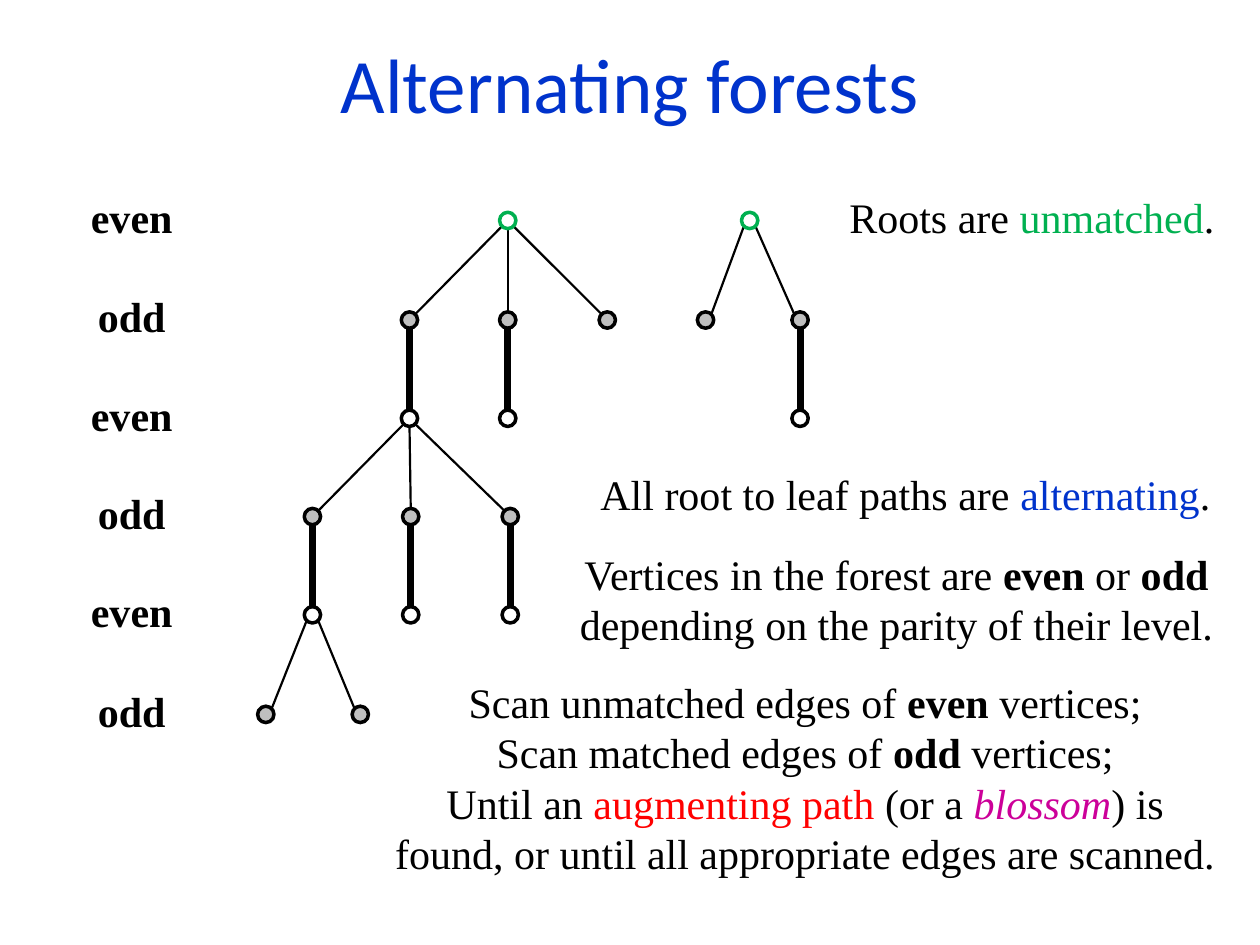
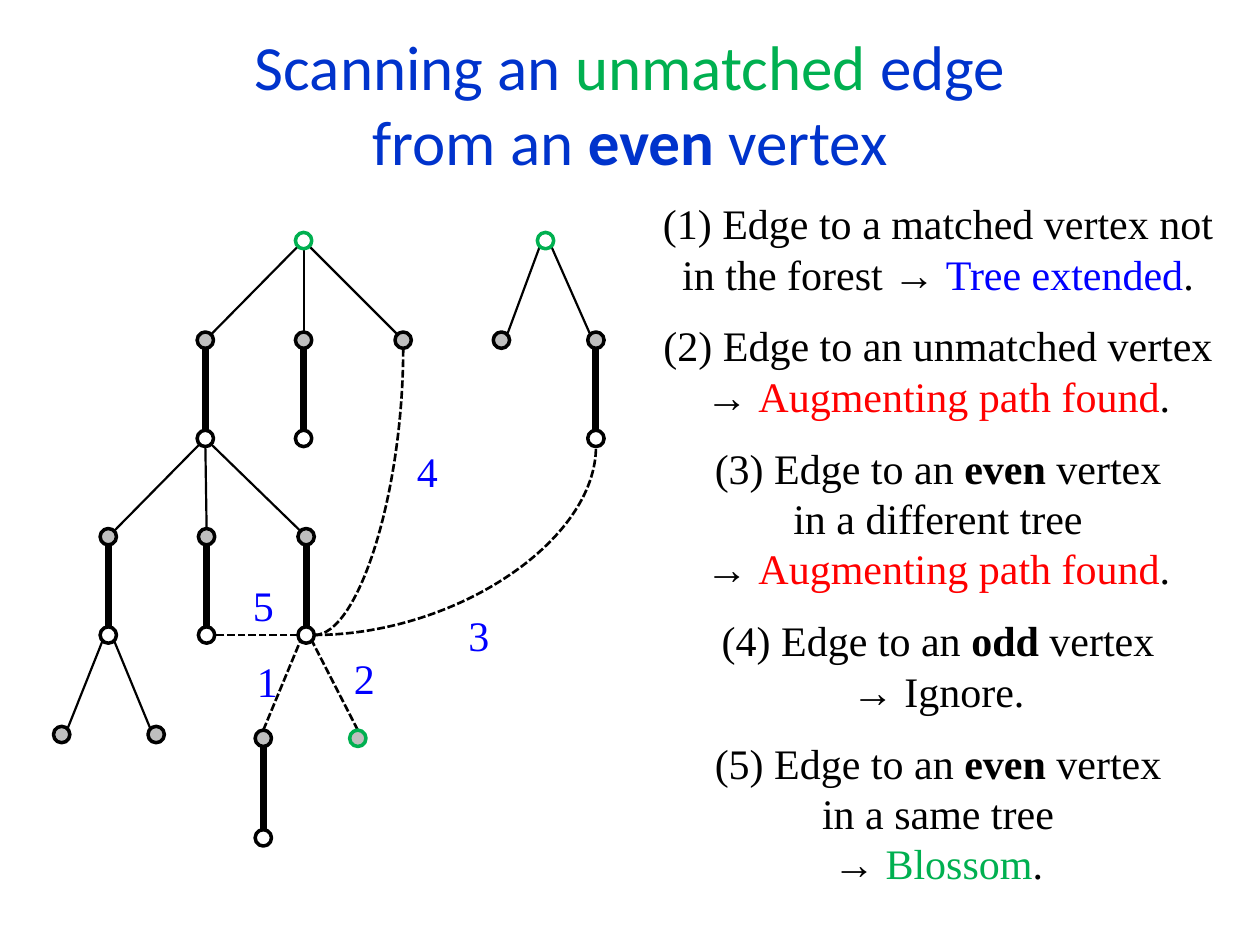
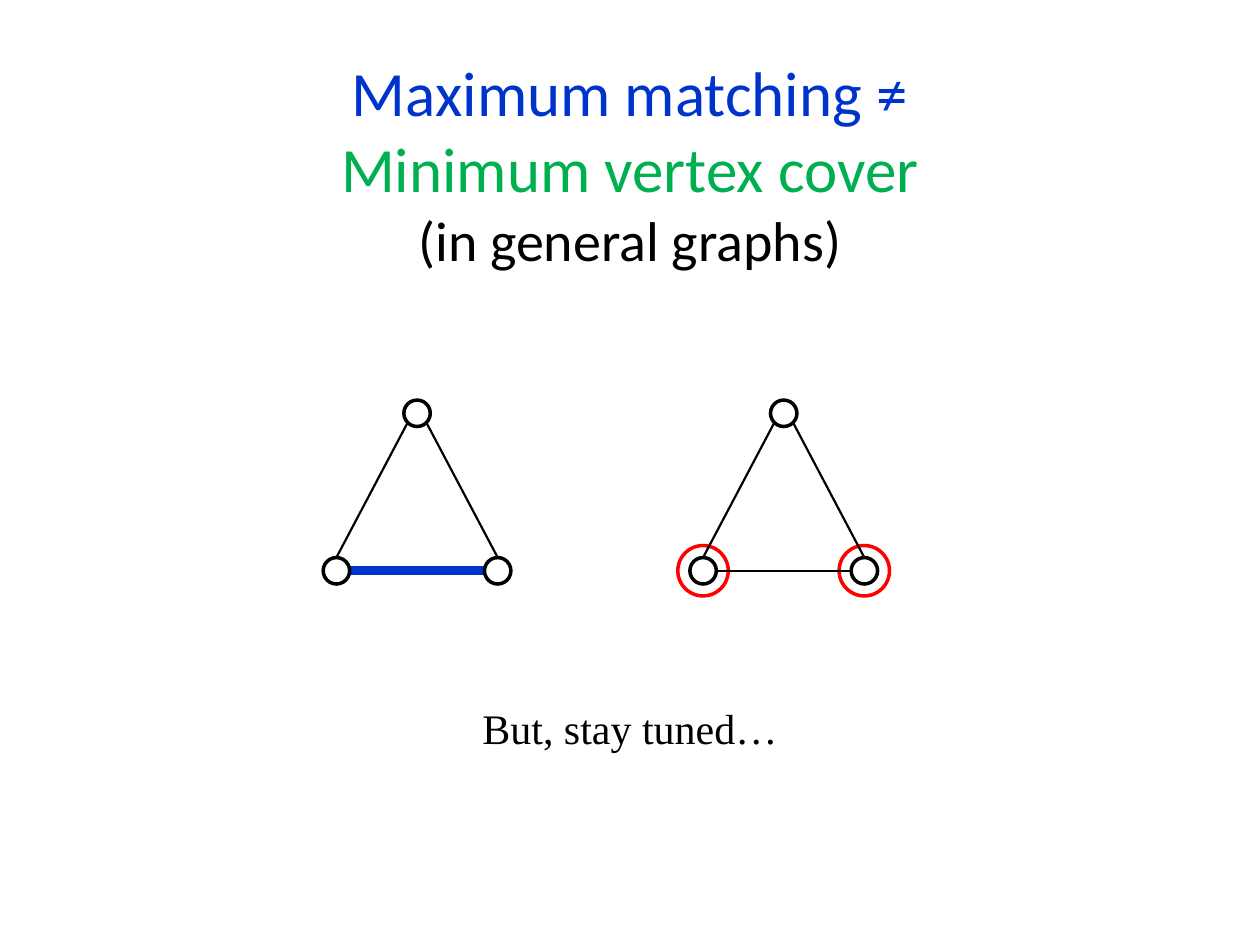
from math import hypot

from pptx import Presentation
from pptx.dml.color import RGBColor
from pptx.enum.dml import MSO_LINE
from pptx.enum.shapes import MSO_CONNECTOR as CONN, MSO_SHAPE
from pptx.enum.text import MSO_ANCHOR, PP_ALIGN
from pptx.oxml.ns import qn
from pptx.util import Inches, Pt

# Shared colours and fonts
BLACK = RGBColor(0x00, 0x00, 0x00)
WHITE = RGBColor(0xFF, 0xFF, 0xFF)
GRAY = RGBColor(0xBF, 0xBF, 0xBF)
NAVY = RGBColor(0x00, 0x33, 0xCC)
BLUE = RGBColor(0x00, 0x00, 0xFF)
GREEN = RGBColor(0x00, 0xB0, 0x50)
RED = RGBColor(0xFF, 0x00, 0x00)
MAGENTA = RGBColor(0xCC, 0x00, 0x99)
TITLE_FONT, BODY_FONT = "Calibri", "Times New Roman"

# Directions to points on a vertex outline
UP, DOWN, LEFT, RIGHT = (0, -1), (0, 1), (-1, 0), (1, 0)
DOWN_LEFT, DOWN_RIGHT = (-1, 1), (1, 1)

# The forest: level heights, vertices as (x, level), and children of each vertex
LEVELS = [1.75, 2.54, 3.32, 4.1, 4.88, 5.67]
VERTICES = {
    "root1": (4.03, 0), "root2": (5.95, 0),
    "a": (3.25, 1), "b": (4.03, 1), "c": (4.82, 1), "d": (5.6, 1), "e": (6.35, 1),
    "a2": (3.25, 2), "b2": (4.03, 2), "e2": (6.35, 2),
    "f": (2.48, 3), "g": (3.26, 3), "h": (4.05, 3),
    "f2": (2.48, 4), "g2": (3.26, 4), "h2": (4.05, 4),
    "i": (2.11, 5), "j": (2.86, 5),
}
CHILDREN = {
    "root1": "a b c", "root2": "d e", "a": "a2", "b": "b2", "e": "e2",
    "a2": "f g h", "f": "f2", "g": "g2", "h": "h2", "f2": "i j",
}
DIAMETER = 0.13
THIN, DASHED, THICK = 1.25, 1.5, 4


def fill_runs(p, parts):
    """Each part is plain text or (text, style); style is a colour, "b" or "i"."""
    for part in parts:
        text, *styles = (part,) if isinstance(part, str) else part
        for n, line in enumerate(text.split("\n")):
            if n:
                p.add_line_break()
            if not line:
                continue
            r = p.add_run()
            r.text = line
            for style in styles:
                if style == "b":
                    r.font.bold = True
                elif style == "i":
                    r.font.italic = True
                elif isinstance(style, RGBColor):
                    r.font.color.rgb = style
                else:
                    r.font.size = style


def add_text(s, box, *parts, font=BODY_FONT, size=24, color=BLACK, bold=None):
    tf = s.shapes.add_textbox(*map(Inches, box)).text_frame
    tf.word_wrap = True
    p = tf.paragraphs[0]
    p.alignment = PP_ALIGN.CENTER
    p.font.name, p.font.size, p.font.bold = font, Pt(size), bold
    p.font.color.rgb = color
    fill_runs(p, parts)
    return tf


def add_title(s, top, height, *parts, size=36):
    tf = add_text(s, (0, top, 10, height), *parts,
                  font=TITLE_FONT, size=size, color=NAVY)
    tf.vertical_anchor = MSO_ANCHOR.MIDDLE
    tf.margin_left = tf.margin_right = tf.margin_top = tf.margin_bottom = 0


def add_vertex(s, center, fill=WHITE, line=BLACK, diameter=DIAMETER):
    x, y = center
    sp = s.shapes.add_shape(
        MSO_SHAPE.OVAL, Inches(x - diameter / 2), Inches(y - diameter / 2),
        Inches(diameter), Inches(diameter))
    sp.shadow.inherit = False
    if fill is None:
        sp.fill.background()
    else:
        sp.fill.solid()
        sp.fill.fore_color.rgb = fill
    sp.line.color.rgb = line
    sp.line.width = Pt(2)


def rim(center, direction, diameter):
    """Point on a vertex outline in the given direction."""
    scale = diameter / 2 / hypot(*direction)
    return [Inches(c + d * scale) for c, d in zip(center, direction)]


def add_edge(s, start, leave, end, arrive, width=THIN, color=BLACK,
             diameter=DIAMETER, curved=False):
    kind = CONN.CURVE if curved else CONN.STRAIGHT
    cx = s.shapes.add_connector(kind, *rim(start, leave, diameter),
                                *rim(end, arrive, diameter))
    cx.line.color.rgb = color
    cx.line.width = Pt(width)
    if width == DASHED:
        cx.line.dash_style = MSO_LINE.SQUARE_DOT
    sppr = cx._element.spPr
    if curved:
        sppr.find(qn("a:prstGeom")).set("prst", "curvedConnector2")
    sppr.append(sppr.makeelement(qn("a:effectLst"), {}))


def add_forest(s, dx=0.0, dy=0.0):
    """Draw both trees and return the vertex centres."""
    at = {name: (x + dx, LEVELS[level] + dy) for name, (x, level) in VERTICES.items()}
    for parent, names in CHILDREN.items():
        matched = VERTICES[parent][1] % 2 == 1
        for child in names.split():
            run = at[child][0] - at[parent][0]
            side = 0 if abs(run) < 0.05 else (1 if run > 0 else -1)
            add_edge(s, at[parent], (side, 1), at[child], (-side, -1),
                     THICK if matched else THIN)
    for name, (_, level) in VERTICES.items():
        add_vertex(s, at[name], GRAY if level % 2 else WHITE,
                   BLACK if level else GREEN)
    return at


def add_triangle(s, x, base_color=BLACK, base_width=THIN, covered=False):
    size = 0.21
    apex, left, right = (x, 3.28), (x - 0.64, 4.53), (x + 0.64, 4.53)
    if covered:
        for center in (left, right):
            add_vertex(s, center, None, RED, 0.4)
    add_edge(s, left, UP, apex, DOWN_LEFT, diameter=size)
    add_edge(s, right, UP, apex, DOWN_RIGHT, diameter=size)
    add_edge(s, right, LEFT, left, RIGHT, base_width, base_color, size)
    for center in (apex, left, right):
        add_vertex(s, center, diameter=size)


def forests_slide(s):
    add_title(s, 0.29, 0.74, "Alternating forests", size=44)
    add_forest(s)
    for n, y in enumerate(LEVELS):
        add_text(s, (0.24, y - 0.28, 1.61, 0.5), "odd" if n % 2 else "even", bold=True)
    add_text(s, (5.71, 1.47, 4.96, 0.5), "Roots are ", ("unmatched", GREEN), ".")
    add_text(s, (4.64, 3.67, 5.09, 0.5),
             "All root to leaf paths are ", ("alternating", NAVY), ".")
    add_text(s, (4.35, 4.3, 5.53, 0.91),
             "Vertices in the forest are ", ("even", "b"), " or ", ("odd", "b"),
             " depending on the parity of their level.")
    add_text(s, (3.03, 5.32, 6.72, 1.72),
             "Scan unmatched edges of ", ("even", "b"),
             " vertices;\nScan matched edges of ", ("odd", "b"),
             " vertices;\nUntil an ", ("augmenting path ", RED), "(or a ",
             ("blossom", MAGENTA, "i"),
             ") is found, or until all appropriate edges are scanned.")


def scanning_slide(s):
    add_title(s, 0.21, 1.21, "Scanning an ", ("unmatched", GREEN),
              " edge\nfrom an ", ("even", "b"), " vertex")
    at = add_forest(s, -1.62, 0.16)

    # Scanned edges from one even vertex
    scanned, outside, unmatched, mate = at["h2"], (2.09, 5.86), (2.84, 5.86), (2.09, 6.65)
    add_edge(s, outside, DOWN, mate, UP, THICK)
    add_edge(s, outside, UP, scanned, DOWN_LEFT, DASHED)
    add_edge(s, unmatched, UP, scanned, DOWN_RIGHT, DASHED)
    add_edge(s, scanned, LEFT, at["g2"], RIGHT, DASHED)
    for target in ("e2", "c"):
        add_edge(s, scanned, RIGHT, at[target], DOWN, DASHED, curved=True)
    add_vertex(s, outside, GRAY)
    add_vertex(s, unmatched, GRAY, GREEN)
    add_vertex(s, mate)
    labels = [(1.94, 5.15), (2.71, 5.13), (3.62, 4.79), (3.21, 3.49), (1.91, 4.55)]
    for n, (x, y) in enumerate(labels, 1):
        add_text(s, (x, y, 0.3, 0.5), str(n), color=BLUE)

    # The five cases
    cases = [
        (0.91, "(1) Edge to a matched vertex not in the forest → ",
         ("Tree extended", BLUE), "."),
        (0.91, "(2) Edge to an unmatched vertex → ", ("Augmenting path found", RED), "."),
        (1.31, "(3) Edge to an ", ("even", "b"), " vertex\nin a different tree\n→ ",
         ("Augmenting path found", RED), "."),
        (0.91, "(4) Edge to an ", ("odd", "b"), " vertex\n→ Ignore."),
        (1.31, "(5) Edge to an ", ("even", "b"), " vertex\nin a same tree\n→ ",
         ("Blossom", GREEN), "."),
    ]
    top = 1.52
    for height, *parts in cases:
        add_text(s, (5.1, top, 4.69, height), *parts)
        top += height + 0.06


def cover_slide(s):
    add_title(s, 0.42, 1.75, "Maximum matching ≠\n", ("Minimum vertex cover\n", GREEN),
              ("(in general graphs)", BLACK, Pt(32)))
    add_triangle(s, 3.31, NAVY, 5)
    add_triangle(s, 6.22, covered=True)
    add_text(s, (0, 5.53, 10, 0.5), "But, stay tuned…")


def main():
    prs = Presentation()
    prs.slide_width, prs.slide_height = Inches(10), Inches(7.5)
    for build in (forests_slide, scanning_slide, cover_slide):
        build(prs.slides.add_slide(prs.slide_layouts[6]))
    prs.save("out.pptx")


if __name__ == "__main__":
    main()
